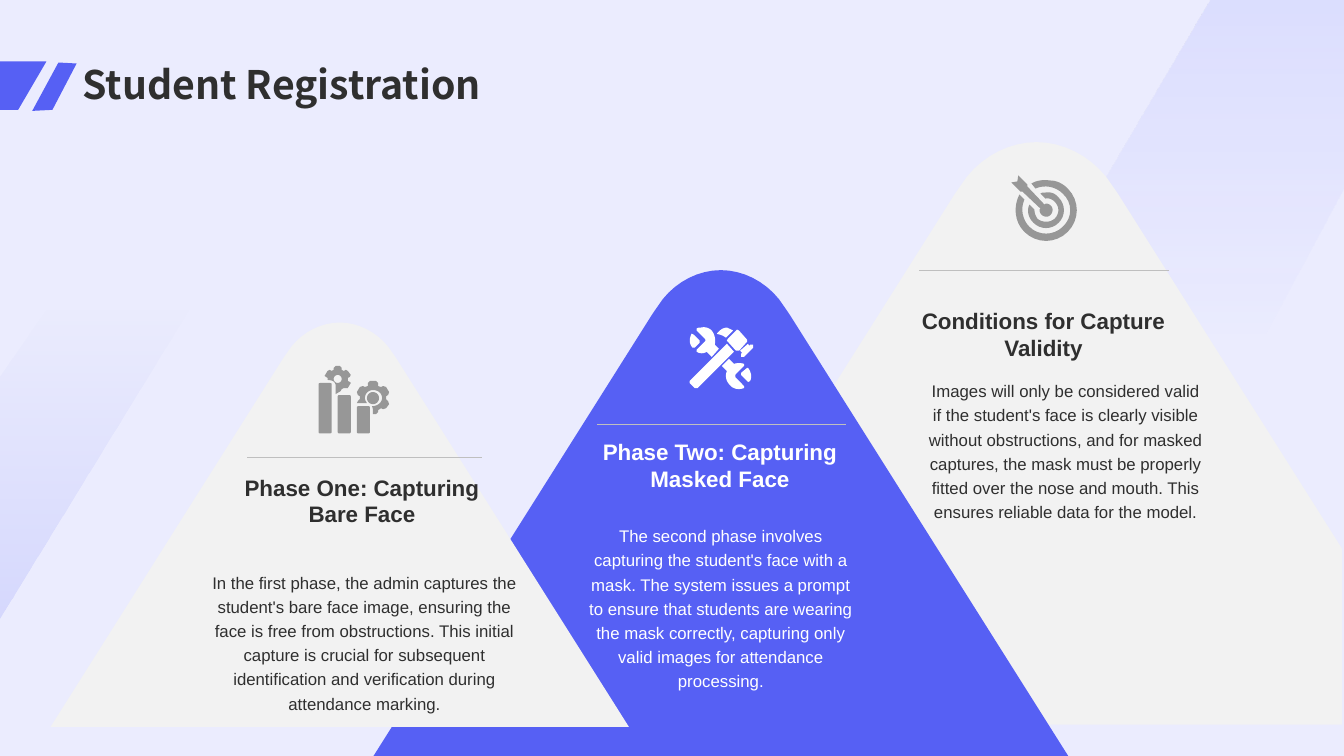
from lxml import etree
from pptx import Presentation
from pptx import util as u
from pptx.dml.color import RGBColor
from pptx.enum import shapes, text
from pptx.oxml.ns import qn

INK, BLUE, PALE, GREY, WHITE = "2F2F2F", "5660F4", "F2F2F2", "979797", "FFFFFF"
RIGHT_EDGE = 13.31
SLOPE = 0.631  # horizontal run of a hillside per inch of height


def rgb(color):
    return RGBColor.from_string(color)


def paint(sp, color):
    sp.shadow.inherit = False
    sp.line.fill.background()
    sp.fill.solid()
    sp.fill.fore_color.rgb = rgb(color)
    return sp


def fade(sp, color, stops):
    """Vertical gradient; stops are (position, opacity in percent)."""
    sp.fill.gradient()
    sp.fill.gradient_angle = 270
    for stop, (position, _) in zip(sp.fill.gradient_stops, stops):
        stop.position = position
        stop.color.rgb = rgb(color)
    for clr, (_, opacity) in zip(sp._element.spPr.iter(qn("a:srgbClr")), stops):
        etree.SubElement(clr, qn("a:alpha")).set("val", str(opacity * 1000))


def flatten(contour):
    """Turn each six-number curve of a contour into short segments."""
    pts = []
    for step in contour:
        if len(step) == 2:
            pts.append(step)
            continue
        (x0, y0), (x1, y1, x2, y2, x3, y3) = pts[-1], step
        for i in range(1, 9):
            t = i / 8
            a, b, c, d = (1 - t) ** 3, 3 * t * (1 - t) ** 2, 3 * t * t * (1 - t), t ** 3
            pts.append((a * x0 + b * x1 + c * x2 + d * x3, a * y0 + b * y1 + c * y2 + d * y3))
    return pts


def outline(s, x, y, contours, color):
    fb = None
    for contour in contours:
        pts = [(u.Inches(x + px), u.Inches(y + py)) for px, py in flatten(contour)]
        if fb is None:
            fb = s.shapes.build_freeform(*pts[0])
        else:
            fb.move_to(*pts[0])
        fb.add_line_segments(pts[1:], close=True)
    return paint(fb.convert_to_shape(), color)


def write(s, x, y, w, h, words, size, color, bold=False, spacing=None):
    tf = s.shapes.add_textbox(*map(u.Inches, (x, y, w, h))).text_frame
    tf.word_wrap = True
    tf.auto_size = text.MSO_AUTO_SIZE.SHAPE_TO_FIT_TEXT
    p = tf.paragraphs[0]
    p.text = words
    p.alignment = text.PP_ALIGN.CENTER
    p.line_spacing = spacing
    p.font.name, p.font.size, p.font.bold = "Arial", u.Pt(size), bold
    p.font.color.rgb = rgb(color)


# Icons, each placed from its top-left corner
def circle(x, y, r):
    k = 0.55 * r
    return [(x - r, y), (x - r, y - k, x - k, y - r, x, y - r), (x + k, y - r, x + r, y - k, x + r, y),
            (x + r, y + k, x + k, y + r, x, y + r), (x - k, y + r, x - r, y + k, x - r, y)]


def bar(x, top, w=0.13, bottom=0.67, r=0.03):
    right = x + w
    return [(x + r, top), (right - r, top), (right, top, right, top, right, top + r),
            (right, bottom - r), (right, bottom, right, bottom, right - r, bottom),
            (x + r, bottom), (x, bottom, x, bottom, x, bottom - r),
            (x, top + r), (x, top, x, top, x + r, top)]


def bars_icon(s, x, y, color):
    bars = [bar(0.19 * i, top) for i, top in enumerate((0.17, 0.29, 0.4))]
    large_gear = [
        (0.57, 0.15), (0.51, 0.15), (0.49, 0.17), (0.49, 0.2), (0.46, 0.21), (0.44, 0.2),
        (0.41, 0.21), (0.38, 0.26), (0.39, 0.29), (0.41, 0.3), (0.41, 0.33), (0.39, 0.35),
        (0.38, 0.37), (0.48, 0.37), (0.47, 0.35, 0.46, 0.34, 0.46, 0.32),
        (0.46, 0.27, 0.5, 0.24, 0.54, 0.24), (0.59, 0.24, 0.63, 0.27, 0.63, 0.32),
        (0.63, 0.36, 0.59, 0.4, 0.53, 0.4), (0.54, 0.43), (0.54, 0.48), (0.57, 0.48),
        (0.59, 0.46), (0.59, 0.44), (0.62, 0.42), (0.64, 0.43), (0.67, 0.42), (0.7, 0.38),
        (0.69, 0.35), (0.67, 0.33), (0.67, 0.3), (0.69, 0.29), (0.7, 0.26), (0.67, 0.21),
        (0.64, 0.2), (0.62, 0.21), (0.59, 0.2), (0.59, 0.17)]
    small_gear = [
        (0.21, 0), (0.17, 0), (0.15, 0.02), (0.15, 0.04), (0.13, 0.05), (0.11, 0.04),
        (0.09, 0.05), (0.06, 0.1), (0.09, 0.12), (0.09, 0.14),
        (0.14, 0.14, 0.17, 0.16, 0.17, 0.2), (0.17, 0.28), (0.22, 0.25), (0.23, 0.23),
        (0.25, 0.22), (0.27, 0.22), (0.29, 0.22), (0.32, 0.17), (0.31, 0.16), (0.29, 0.15),
        (0.29, 0.12), (0.31, 0.11), (0.32, 0.09), (0.29, 0.05), (0.27, 0.04), (0.25, 0.05),
        (0.23, 0.04), (0.23, 0.02)]
    dots = [circle(0.54, 0.32, 0.06), circle(0.19, 0.13, 0.04)]
    outline(s, x, y, bars + [large_gear, small_gear] + dots, color)


def target_icon(s, x, y, color):
    inner_ring = [
        (0.34, 0.17), (0.32, 0.17, 0.3, 0.17, 0.29, 0.18), (0.34, 0.23),
        (0.37, 0.22, 0.41, 0.24, 0.43, 0.26), (0.48, 0.31, 0.48, 0.38, 0.43, 0.43),
        (0.38, 0.47, 0.31, 0.47, 0.26, 0.43), (0.24, 0.4, 0.23, 0.37, 0.23, 0.34),
        (0.18, 0.29), (0.15, 0.35, 0.17, 0.42, 0.22, 0.47), (0.29, 0.54, 0.4, 0.54, 0.47, 0.47),
        (0.54, 0.4, 0.54, 0.29, 0.47, 0.22), (0.44, 0.18, 0.39, 0.16, 0.34, 0.17)]
    outer_ring = [
        (0.38, 0.05), (0.32, 0.04, 0.25, 0.05, 0.2, 0.08), (0.24, 0.13),
        (0.33, 0.09, 0.44, 0.11, 0.51, 0.18), (0.61, 0.27, 0.61, 0.42, 0.51, 0.51),
        (0.42, 0.6, 0.27, 0.6, 0.18, 0.51), (0.11, 0.44, 0.09, 0.33, 0.13, 0.24),
        (0.08, 0.19), (0.02, 0.31, 0.03, 0.46, 0.13, 0.56), (0.25, 0.68, 0.44, 0.68, 0.56, 0.56),
        (0.68, 0.44, 0.68, 0.25, 0.56, 0.13), (0.51, 0.08, 0.45, 0.05, 0.38, 0.05)]
    arrow = [
        (0.07, 0), (0.06, 0.06), (0, 0.07), (0.09, 0.16), (0.11, 0.16), (0.29, 0.33),
        (0.29, 0.33, 0.28, 0.34, 0.28, 0.34), (0.28, 0.38, 0.31, 0.41, 0.35, 0.41),
        (0.38, 0.41, 0.41, 0.38, 0.41, 0.34), (0.41, 0.31, 0.38, 0.28, 0.35, 0.28),
        (0.34, 0.28, 0.34, 0.28, 0.33, 0.29), (0.16, 0.11), (0.16, 0.09)]
    outline(s, x, y, [inner_ring, outer_ring, arrow], color)


def tools_icon(s, x, y, color):
    wrench = [
        [(0.57, 0.4), (0.51, 0.45), (0.51, 0.47), (0.58, 0.54), (0.6, 0.53),
         (0.62, 0.49, 0.61, 0.44, 0.58, 0.4)],
        [(0.39, 0.31), (0.32, 0.38), (0.37, 0.43), (0.35, 0.48, 0.36, 0.53, 0.4, 0.57),
         (0.43, 0.61, 0.49, 0.62, 0.54, 0.6), (0.54, 0.58), (0.46, 0.5),
         (0.45, 0.49, 0.45, 0.47, 0.46, 0.46), (0.54, 0.38), (0.54, 0.36),
         (0.51, 0.35, 0.47, 0.35, 0.44, 0.36)],
        [(0.02, 0.06), (-0.01, 0.12, 0, 0.17, 0.03, 0.2), (0.05, 0.2), (0.1, 0.15),
         (0.1, 0.13), (0.04, 0.07)],
        [(0.11, 0), (0.1, 0, 0.08, 0, 0.07, 0.01), (0.07, 0.03), (0.15, 0.11),
         (0.16, 0.12, 0.16, 0.13, 0.15, 0.14), (0.07, 0.22), (0.07, 0.24),
         (0.1, 0.26, 0.14, 0.26, 0.17, 0.24), (0.22, 0.29), (0.29, 0.21), (0.25, 0.17),
         (0.26, 0.12, 0.25, 0.07, 0.22, 0.03), (0.19, 0, 0.15, -0.01, 0.11, 0)]]
    hammer = [
        [(0.37, 0.16), (0, 0.53), (0, 0.55), (0.05, 0.6), (0.08, 0.6), (0.44, 0.24)],
        [(0.58, 0.16), (0.5, 0.23), (0.52, 0.25), (0.51, 0.26), (0.51, 0.29), (0.54, 0.29),
         (0.63, 0.2), (0.63, 0.17), (0.6, 0.17), (0.59, 0.18)],
        [(0.47, 0.02), (0.38, 0.11), (0.37, 0.13), (0.46, 0.23), (0.49, 0.23), (0.57, 0.14),
         (0.57, 0.12), (0.49, 0.03)],
        [(0.37, 0), (0.35, 0, 0.32, 0.01, 0.3, 0.03), (0.24, 0.09, 0.28, 0.04, 0.36, 0.1),
         (0.43, 0.03), (0.42, 0.02, 0.39, 0.01, 0.37, 0)]]
    outline(s, x, y, wrench + hammer, color)


# Backdrop bands and title
def backdrop(s, w, h):
    paint(s.shapes.add_shape(shapes.MSO_SHAPE.RECTANGLE, 0, 0, w, h), "EBECFE")
    left = [(-0.37, 4.27), (0.49, 3.03), (1.9, 3.03), (-0.38, 6.76)]
    right = [(12, 0), (13.33, 0), (13.33, 1.85), (11.97, 4.39), (9.42, 4.39)]
    fade(outline(s, 0, 0, [left], BLUE), "ABB1FC", ((0, 0), (1, 40)))
    fade(outline(s, 0, 0, [right], BLUE), "ADB3FD", ((0, 24), (0.76, 0)))


def title_bar(s, x, y, w, h, words):
    outline(s, 0, y, [[(0.32, 0.49), (0.58, 0.01), (0.76, 0.02), (0.52, 0.48)]], BLUE)
    outline(s, 0, y, [[(0.46, 0), (-0.36, 0), (-0.36, 0.48), (0.18, 0.48)]], BLUE)
    title = s.shapes.title
    s.shapes._spTree.append(title._element)  # bring in front of the backdrop
    title.left, title.top, title.width, title.height = map(u.Inches, (x, 0, w, h))
    tf = title.text_frame
    tf.auto_size = text.MSO_AUTO_SIZE.NONE
    tf.vertical_anchor = text.MSO_ANCHOR.BOTTOM
    p = tf.paragraphs[0]
    p.text = words
    p.alignment, p.line_spacing = text.PP_ALIGN.LEFT, 0.9
    p.font.name, p.font.size, p.font.bold = "Noto Sans CJK SC", u.Pt(28), True
    p.font.color.rgb = rgb(INK)


# One hill with its icon, rule, heading and text, placed from the summit
def hill(s, x, top, bottom, scale, color, ink, icon, icon_color, icon_at, rule, head_at, body_at,
         heading, body):
    h = bottom - top
    half = 0.57 * scale + SLOPE * (h - 0.37 * scale)
    cap = flatten([(0, 0), (0.18, 0, 0.36, 0.09, 0.48, 0.24), (0.55, 0.34), (0.57, 0.37)])
    side = [(px * scale, py * scale) for px, py in cap]
    reach = min(half, RIGHT_EDGE - x)
    foot = [(reach, h - (half - reach) / SLOPE), (reach, h), (-half, h)]
    outline(s, x, top, [side + foot + [(-px, py) for px, py in side[:0:-1]]], color)
    icon(s, x + icon_at[0], top + icon_at[1], icon_color)

    rx, ry, rw = rule
    cx = s.shapes.add_connector(shapes.MSO_CONNECTOR.STRAIGHT, *map(
        u.Inches, (x + rx, top + ry, x + rx + rw, top + ry)))
    cx.line.color.rgb, cx.line.width = rgb("BFBFBF"), u.Pt(0.5)
    etree.SubElement(cx._element.spPr, qn("a:effectLst"))

    write(s, x + head_at[0], top + head_at[1], 2.94, 0.47, heading, 16, ink, bold=True)
    bx, by, bw, bh = body_at
    write(s, x + bx, top + by, bw, bh, body, 12, ink, spacing=1.2)


def main():
    prs = Presentation()
    prs.slide_width, prs.slide_height = u.Inches(13.33), u.Inches(7.5)
    s = prs.slides.add_slide(prs.slide_layouts[5])
    backdrop(s, prs.slide_width, prs.slide_height)
    title_bar(s, 0.72, 0.61, 11.88, 1.12, "Student Registration")
    hill(s, 10.28, 1.41, 7.19, 1.44, PALE, INK, target_icon, GREY, (-0.25, 0.33),
         (-1.16, 1.27, 2.47), (-1.4, 1.59), (-1.18, 2.28, 2.94, 0.64),
         "Conditions for Capture Validity",
         "Images will only be considered valid if the student's face is clearly visible without obstructions, and for masked captures, the mask must be properly fitted over the nose and mouth. This ensures reliable data for the model.")
    hill(s, 7.15, 2.68, 7.5, 1.2, BLUE, WHITE, tools_icon, WHITE, (-0.31, 0.57),
         (-1.23, 1.53, 2.47), (-1.48, 1.62), (-1.47, 2.45, 2.94, 1.27),
         "Phase Two: Capturing Masked Face",
         "The second phase involves capturing the student's face with a mask. The system issues a prompt to ensure that students are wearing the mask correctly, capturing only valid images for attendance processing.")
    hill(s, 3.37, 3.2, 7.21, 1, PALE, INK, bars_icon, GREY, (-0.21, 0.43),
         (-0.92, 1.34, 2.33), (-1.25, 1.45), (-1.43, 2.39, 3.35, 1.03),
         "Phase One: Capturing Bare Face",
         "In the first phase, the admin captures the student's bare face image, ensuring the face is free from obstructions. This initial capture is crucial for subsequent identification and verification during attendance marking.")
    prs.save("out.pptx")


if __name__ == "__main__":
    main()
